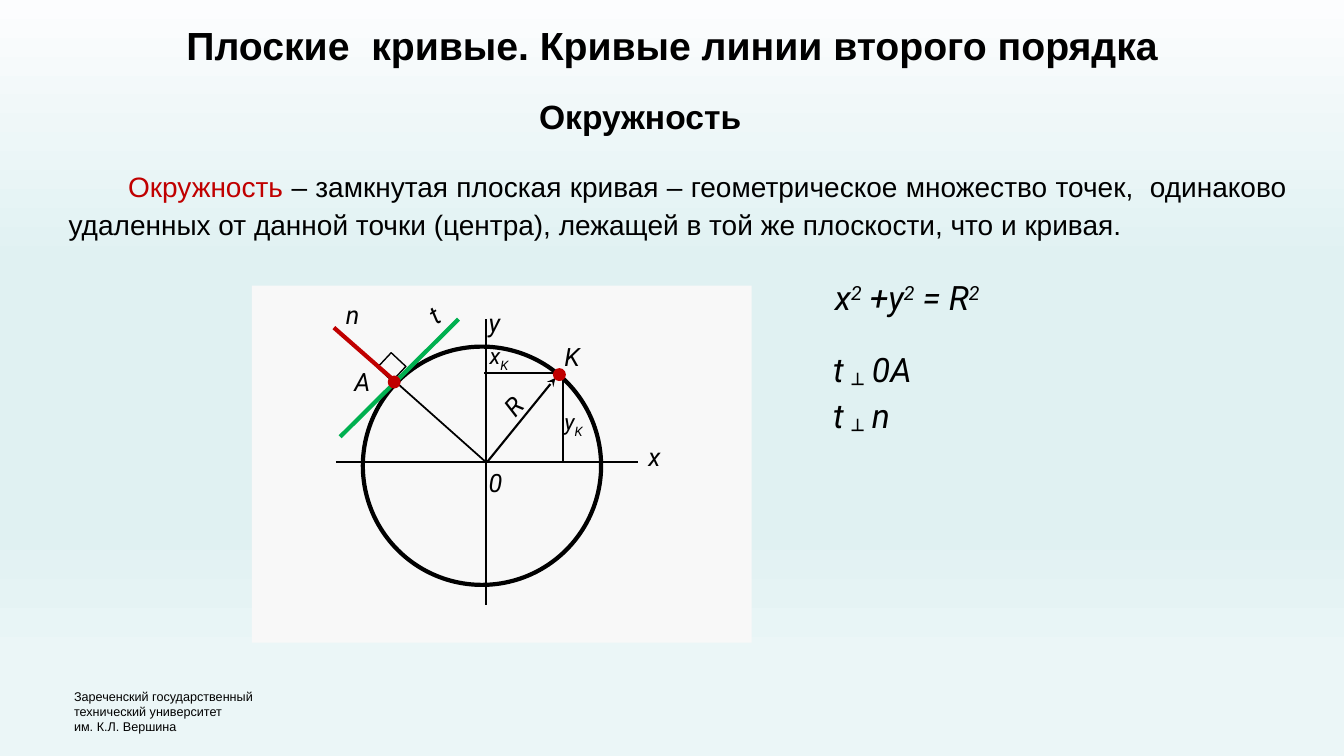
from lxml import etree
from pptx import Presentation
from pptx.dml.color import RGBColor
from pptx.enum.shapes import MSO_CONNECTOR, MSO_SHAPE
from pptx.enum.text import MSO_ANCHOR, MSO_AUTO_SIZE, PP_ALIGN
from pptx.oxml.ns import qn
from pptx.util import Pt

STRAIGHT = MSO_CONNECTOR.STRAIGHT
RECTANGLE, OVAL = MSO_SHAPE.RECTANGLE, MSO_SHAPE.OVAL
TOP = MSO_ANCHOR.TOP
NO_FIT, GROW = MSO_AUTO_SIZE.NONE, MSO_AUTO_SIZE.SHAPE_TO_FIT_TEXT
LEFT, CENTER, JUSTIFY = PP_ALIGN.LEFT, PP_ALIGN.CENTER, PP_ALIGN.JUSTIFY

BLACK = RGBColor(0x00, 0x00, 0x00)
RED = RGBColor(0xC0, 0x00, 0x00)
GREEN = RGBColor(0x00, 0xB0, 0x50)
PANEL = RGBColor(0xF8, 0xF8, 0xF8)
PALE = RGBColor(0xFC, 0xFD, 0xFE)
MINT = RGBColor(0xE0, 0xF1, 0xF2)
ICE = RGBColor(0xEB, 0xF6, 0xF7)
BACKGROUND_STOPS = [(0, PALE), (35, MINT), (69, MINT), (88, ICE), (100, ICE)]

TITLE_FONT = {"name": "Arial", "size": Pt(28), "bold": True}
HEADING_FONT = {"name": "Arial", "size": Pt(24), "bold": True}
BODY_FONT = {"name": "Arial", "size": Pt(20), "bold": False}
FOOTER_FONT = {"name": "Arial", "size": Pt(9)}
LABEL_FONT = {"name": "Roboto", "size": Pt(18), "italic": True}
COORDINATE_FONT = {"name": "Roboto", "size": Pt(16), "italic": True}
FORMULA_FONT = {"name": "Roboto", "size": Pt(24), "italic": True}
SUBSCRIPT, SUPERSCRIPT = -25000, 30000
FIRST_INDENT = Pt(42.5)


def apply_format(target, values):
    for name, value in values.items():
        setattr(target, name, value)


def place(shape, box):
    names = ("left", "top", "width", "height")
    apply_format(shape, {name: Pt(length) for name, length in zip(names, box)})


def paint_background(slide):
    fill = slide.background.fill
    fill.gradient()
    fill.gradient_angle = 270
    stop_list = next(slide.element.iter(qn("a:gsLst")))
    for stop in list(stop_list):
        stop_list.remove(stop)
    for percent, color in BACKGROUND_STOPS:
        stop = etree.SubElement(stop_list, qn("a:gs"), pos=str(percent * 1000))
        etree.SubElement(stop, qn("a:srgbClr"), val=str(color))


def write_text(shape, lines, font, align=LEFT, spacing=1.0, indent=0, wrap=True, fit=GROW):
    frame = shape.text_frame
    apply_format(frame, {"word_wrap": wrap, "auto_size": fit, "vertical_anchor": TOP})
    for index, line in enumerate(lines):
        paragraph = frame.add_paragraph() if index else frame.paragraphs[0]
        apply_format(paragraph, {"alignment": align, "line_spacing": spacing,
                                 "space_before": Pt(0)})
        properties = paragraph._p.get_or_add_pPr()
        properties.set("marL", "0")
        properties.set("indent", str(int(indent)))
        etree.SubElement(properties, qn("a:buNone"))
        for text, color, baseline in line:
            run = paragraph.add_run()
            run.text = text
            apply_format(run.font, font)
            run.font.color.rgb = color
            if baseline:
                run._r.get_or_add_rPr().set("baseline", str(baseline))


def plain(text):
    return [(text, BLACK, 0)]


def add_text(slide, box, lines, font, rotation=0, **layout):
    shape = slide.shapes.add_textbox(*map(Pt, box))
    shape.rotation = rotation
    write_text(shape, lines, font, **layout)


def add_figure(slide, kind, box, fill=None, line=None, width=1, rotation=0):
    shape = slide.shapes.add_shape(kind, *map(Pt, box))
    shape.shadow.inherit = False
    shape.rotation = rotation
    if fill is None:
        shape.fill.background()
    else:
        shape.fill.solid()
        shape.fill.fore_color.rgb = fill
    if line is None:
        shape.line.fill.background()
    else:
        shape.line.color.rgb = line
        shape.line.width = Pt(width)


def add_segment(slide, start, end, color=BLACK, width=1.25, arrow=False):
    segment = slide.shapes.add_connector(STRAIGHT, *map(Pt, (*start, *end)))
    segment.line.color.rgb = color
    segment.line.width = Pt(width)
    if arrow:
        etree.SubElement(segment.line._get_or_add_ln(), qn("a:tailEnd"), type="stealth")
    etree.SubElement(segment._element.spPr, qn("a:effectLst"))


def add_headings(slide):
    title, body = slide.shapes.title, slide.placeholders[1]
    place(title, (126, 11.4, 732, 41.2))
    write_text(title, [plain("Плоские  кривые. Кривые линии второго порядка")],
               TITLE_FONT, fit=NO_FIT)
    place(body, (41.8, 113.8, 884.9, 60.5))
    definition = [
        ("Окружность ", RED, 0),
        ("– замкнутая плоская кривая – геометрическое множество точек,  одинаково "
         "удаленных от данной точки (центра), лежащей в той же плоскости, что и кривая.",
         BLACK, 0),
    ]
    write_text(body, [definition], BODY_FONT, align=JUSTIFY, spacing=1.14,
               indent=FIRST_INDENT, fit=NO_FIT)
    add_text(slide, (378, 65, 192, 36.4), [plain("Окружность")], HEADING_FONT)


def add_diagram(slide):
    add_figure(slide, RECTANGLE, (180, 204, 357, 255), fill=PANEL)
    add_figure(slide, RECTANGLE, (272.6, 254.9, 14.4, 14.4), line=BLACK, rotation=313.1)
    add_figure(slide, OVAL, (259.2, 247.6, 170.2, 170.2), line=BLACK, width=3)

    center, tangent_point = (347, 330), (279.5, 270)
    add_segment(slide, (240, 330), (456, 330))
    add_segment(slide, (347, 228), (347, 432))
    add_segment(slide, (348, 330), (396.7, 270), width=1.5, arrow=True)
    add_segment(slide, (402.3, 266.6), (345.8, 266.6))
    add_segment(slide, (402, 265), (402, 330))
    add_segment(slide, center, tangent_point)
    add_segment(slide, (243, 312), (327.5, 228), color=GREEN, width=3)
    add_segment(slide, tangent_point, (238.5, 234), color=RED, width=3)
    for left, top in [(396, 264), (278, 269.3)]:
        add_figure(slide, OVAL, (left, top, 7.2, 7.2), fill=RED, line=RED, width=2)

    labels = [
        ("A", 246, 258, 26.6, 0),
        ("K", 396, 240, 25.2, 0),
        ("0", 342, 330, 23.8, 0),
        ("x", 456, 312, 23.8, 0),
        ("y", 342, 216, 23.8, 0),
        ("R", 354, 276, 25.2, 312.3),
        ("t", 300, 210, 22.3, 327.7),
        ("n", 240, 210, 23.8, 0),
    ]
    for text, left, top, width, rotation in labels:
        add_text(slide, (left, top, width, 28.8), [plain(text)], LABEL_FONT,
                 rotation=rotation, wrap=False)
    for axis, left, top in [("x", 342.7, 241.2), ("y", 396, 288)]:
        coordinate = [(axis, BLACK, 0), ("K", BLACK, SUBSCRIPT)]
        add_text(slide, (left, top, 29.5, 26.6), [coordinate], COORDINATE_FONT, wrap=False)


def add_formulas(slide):
    conditions = [[("t ", BLACK, 0), ("┴", BLACK, SUBSCRIPT), (f" {normal}", BLACK, 0)]
                  for normal in ("0A", "n")]
    add_text(slide, (588, 246, 77, 65.5), conditions, FORMULA_FONT, wrap=False)
    equation = []
    for term in ("x", " +y", " = R"):
        equation += [(term, BLACK, 0), ("2", BLACK, SUPERSCRIPT)]
    add_text(slide, (544.3, 180, 164.9, 45.4), [equation], FORMULA_FONT,
             align=CENTER, spacing=1.5, indent=FIRST_INDENT, wrap=False)


def add_footer(slide):
    lines = ["Зареченский государственный", "технический университет", "им. К.Л. Вершина"]
    add_text(slide, (45.8, 488.6, 142.6, 39.6), [plain(line) for line in lines],
             FOOTER_FONT, wrap=False)


def main():
    presentation = Presentation()
    apply_format(presentation, {"slide_width": Pt(960), "slide_height": Pt(540)})
    slide = presentation.slides.add_slide(presentation.slide_layouts[1])
    paint_background(slide)
    add_headings(slide)
    add_diagram(slide)
    add_formulas(slide)
    add_footer(slide)
    presentation.save("out.pptx")


if __name__ == "__main__":
    main()
